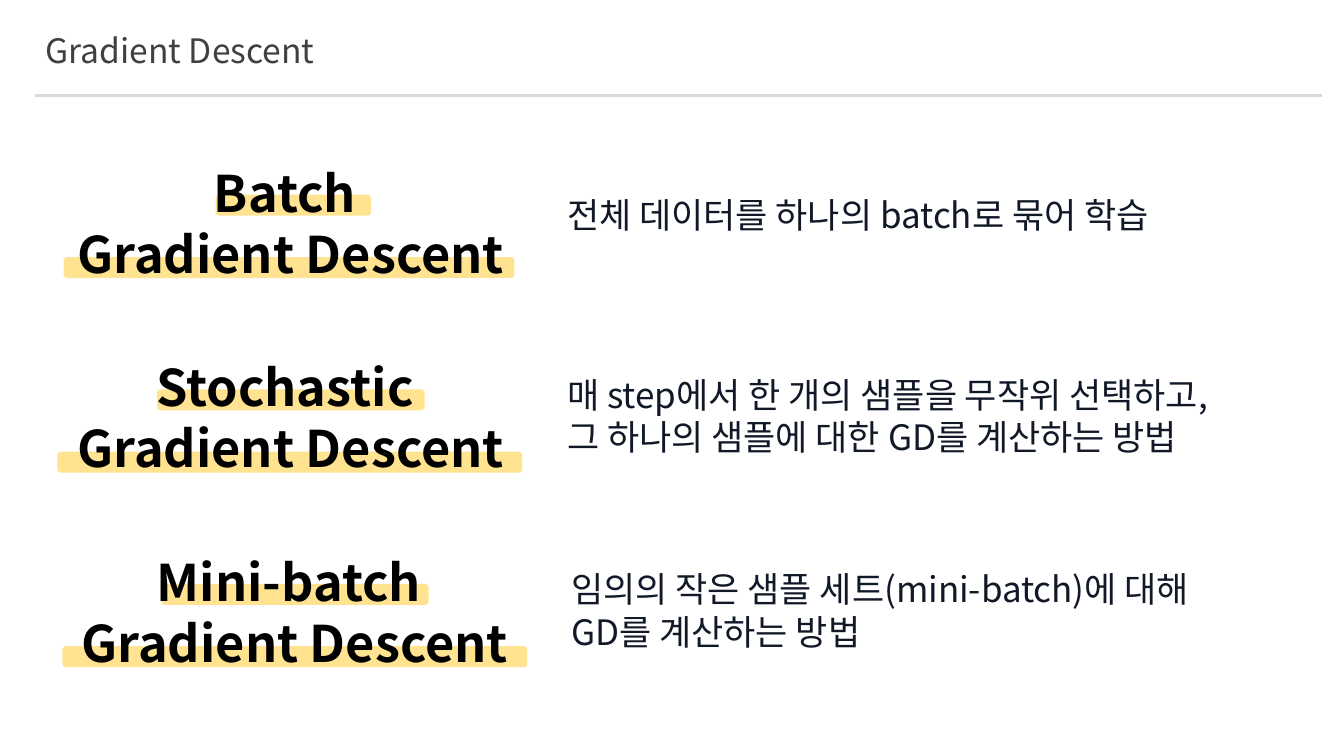
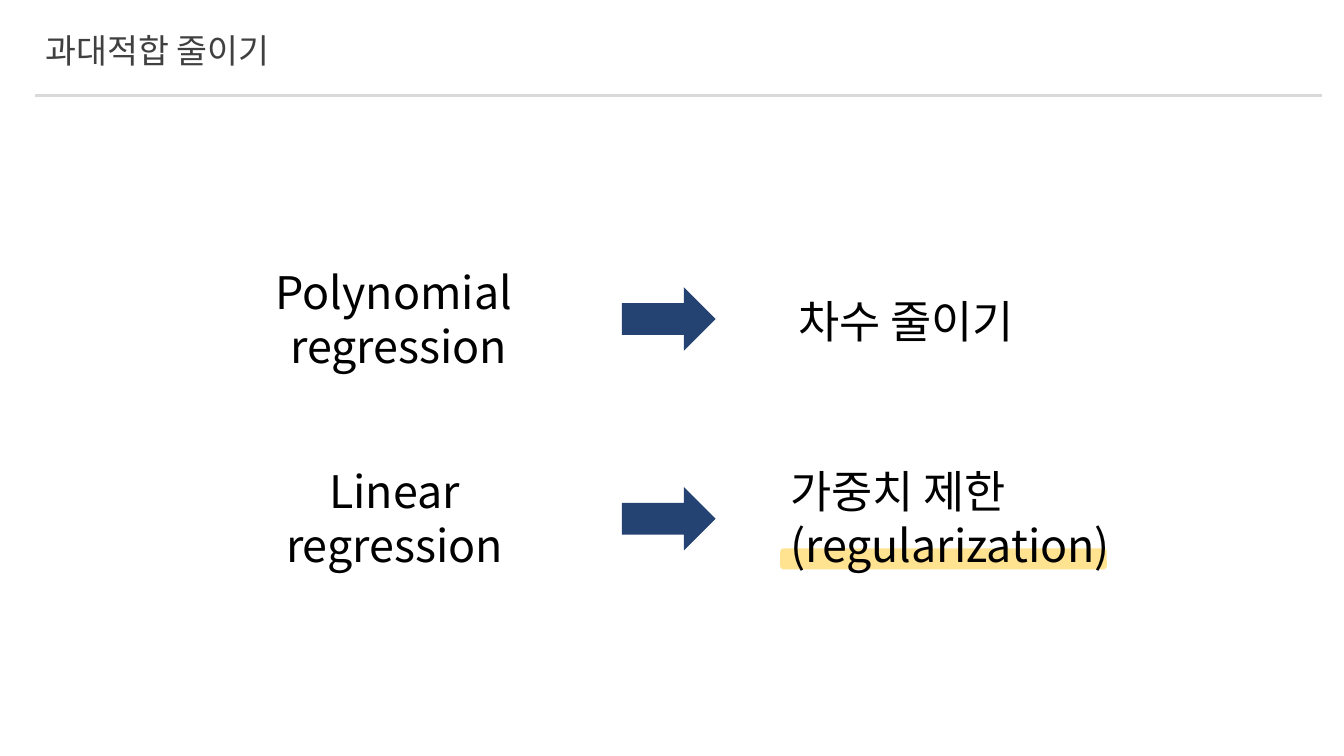
from lxml import etree
from pptx import Presentation
from pptx.dml.color import RGBColor
from pptx.enum.shapes import MSO_CONNECTOR, MSO_SHAPE
from pptx.enum.text import MSO_ANCHOR, MSO_AUTO_SIZE, PP_ALIGN
from pptx.oxml.ns import qn
from pptx.util import Pt

LEFT, CENTER = PP_ALIGN.LEFT, PP_ALIGN.CENTER
TOP, FIXED = MSO_ANCHOR.TOP, MSO_AUTO_SIZE.NONE
ROUND, ARROW = MSO_SHAPE.ROUNDED_RECTANGLE, MSO_SHAPE.RIGHT_ARROW
STRAIGHT = MSO_CONNECTOR.STRAIGHT

BLACK = RGBColor(0x00, 0x00, 0x00)
GRAY = RGBColor(0x40, 0x40, 0x40)
RULE = RGBColor(0xD9, 0xD9, 0xD9)
INK = RGBColor(0x11, 0x18, 0x27)
YELLOW = RGBColor(0xFF, 0xD9, 0x66)
NAVY = RGBColor(0x24, 0x43, 0x72)

FONT = "Noto Sans CJK KR"
LEADING = 1.21


class Deck:
    """Holds the style, the current slide and the shapes being added to."""

    def __init__(self):
        self.prs = Presentation()
        self.prs.slide_width, self.prs.slide_height = Pt(960), Pt(540)

    def slide(self, title):
        page = self.prs.slides.add_slide(self.prs.slide_layouts[5])
        self.page = self.pool = page.shapes
        head = self.page.title
        head.left, head.top = Pt(25.2), Pt(17.3)
        head.width, head.height = Pt(520), Pt(36)
        self.lines(head.text_frame, [title], 24, GRAY)
        self.rule(25.2, 68.4, 944.6)

    def group(self):
        """Send the next shapes to a new group."""
        self.pool = self.page.add_group_shape().shapes

    def rule(self, left, y, right):
        line = self.pool.add_connector(STRAIGHT, Pt(left), Pt(y), Pt(right), Pt(y))
        line.line.color.rgb = RULE
        line.line.width = Pt(2)
        etree.SubElement(line._element.spPr, qn("a:effectLst"))

    def lines(self, frame, lines, size, color, align=LEFT, bold=False):
        """Fill a frame with one paragraph for each line."""
        frame.word_wrap = True
        frame.auto_size = FIXED
        frame.vertical_anchor = TOP
        for i, line in enumerate(lines):
            para = frame.add_paragraph() if i else frame.paragraphs[0]
            para.alignment = align
            para.line_spacing = Pt(round(LEADING * size, 1))
            run = para.add_run()
            run.text = line
            font = run.font
            font.name, font.size, font.bold = FONT, Pt(size), bold
            font.color.rgb = color
            asian = etree.SubElement(run._r.get_or_add_rPr(), qn("a:ea"))
            asian.set("typeface", FONT)

    def text(self, x, y, width, lines, size, color=BLACK, align=LEFT, bold=False):
        height = 7.2 + LEADING * size * len(lines)
        box = self.pool.add_textbox(Pt(x), Pt(y), Pt(width), Pt(height))
        self.lines(box.text_frame, lines, size, color, align, bold)

    def shape(self, kind, x, y, width, height, color):
        shape = self.pool.add_shape(kind, Pt(x), Pt(y), Pt(width), Pt(height))
        shape.shadow.inherit = False
        shape.fill.solid()
        shape.fill.fore_color.rgb = color
        shape.line.fill.background()
        return shape

    def mark(self, x, y, width):
        """Draw a see-through highlighter stroke."""
        shape = self.shape(ROUND, x, y, width, 15, YELLOW)
        tint = shape._element.spPr.find(".//" + qn("a:srgbClr"))
        etree.SubElement(tint, qn("a:alpha")).set("val", "72000")

    def arrow(self, x, y):
        self.shape(ARROW, x, y, 67, 45.4, NAVY)

    def method(self, x, y, name, marks, drop, lines):
        """Add a marked method name, and its meaning drop points lower."""
        self.group()
        for (left, width), down in zip(marks, (27.5, 72)):
            self.mark(left, y + down, width)
        self.text(x, y, 342, [name, "Gradient Descent"], 36, BLACK, CENTER, True)
        self.text(x + 361.5, y + drop, 544, lines, 25, INK)


METHODS = [
    (36.7, "Batch ", [(154, 111), (45.4, 322)], 23,
     ["전체 데이터를 하나의 batch로 묶어 학습"]),
    (36.7, "Stochastic ", [(112.3, 191), (41, 332)], 12.2,
     ["매 step에서 한 개의 샘플을 무작위 선택하고,",
      "그 하나의 샘플에 대한 GD를 계산하는 방법"]),
    (39.6, "Mini-batch ", [(115.2, 191), (44.6, 332)], 12.2,
     ["임의의 작은 샘플 세트(mini-batch)에 대해", "GD를 계산하는 방법"]),
]


def main():
    deck = Deck()

    deck.slide("Gradient Descent")
    for i, (x, name, marks, drop, lines) in enumerate(METHODS):
        deck.method(x, 111.6 + 139 * i, name, marks, drop, lines)

    deck.slide("과대적합 줄이기")
    deck.text(149, 185, 272, ["Polynomial ", "regression"], 32, align=CENTER)
    deck.text(158.4, 327.6, 247, ["Linear", "regression"], 32, align=CENTER)
    for y in (205.2, 347.8):
        deck.arrow(444.2, y)
    deck.text(563, 206, 272, ["차수 줄이기"], 32)
    deck.group()
    deck.mark(557.3, 391.7, 233.3)
    deck.text(557.3, 327.6, 247, ["가중치 제한", "(regularization)"], 32)

    deck.prs.save("out.pptx")


if __name__ == "__main__":
    main()
